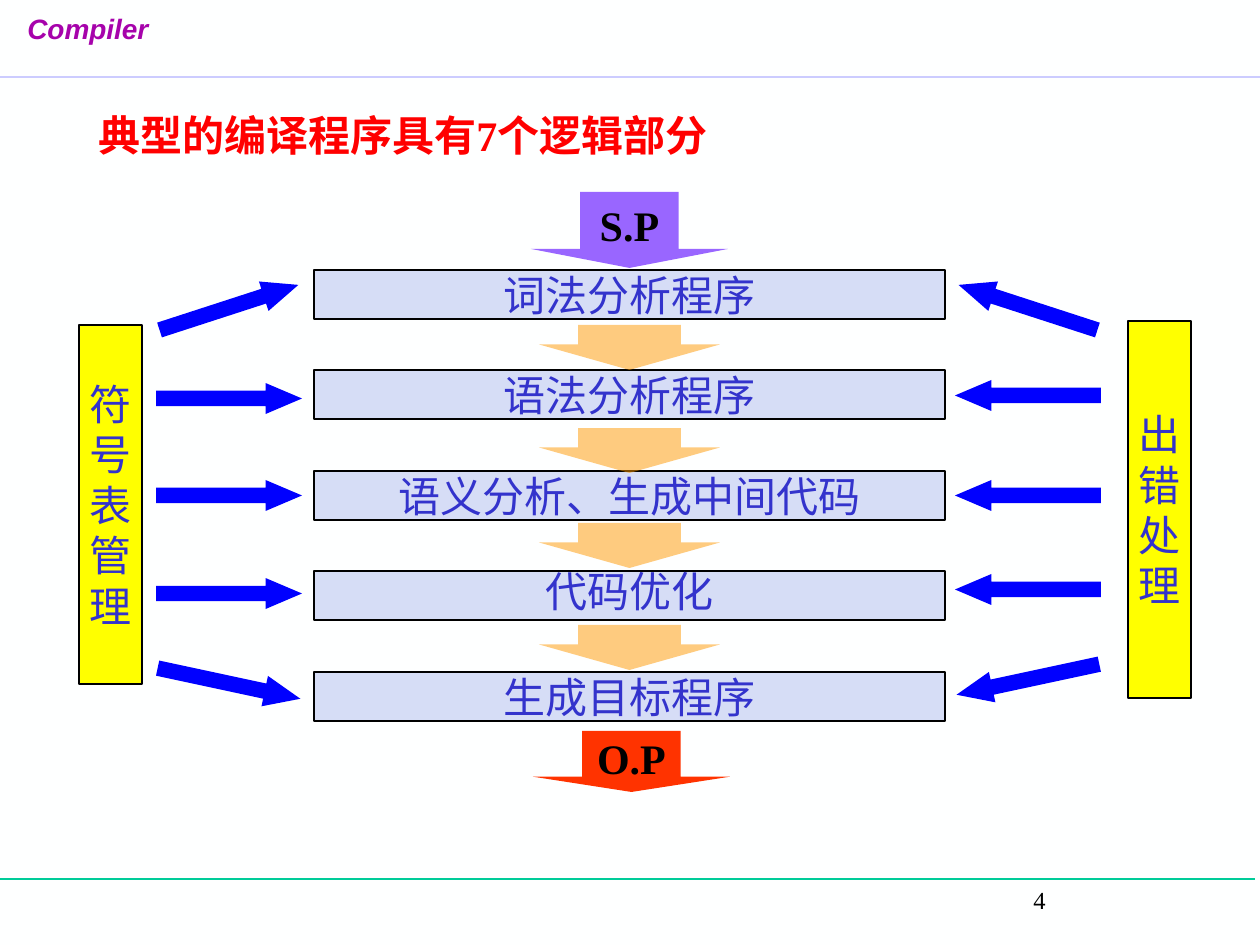
from dataclasses import dataclass

from lxml.etree import SubElement
from pptx import Presentation
from pptx.dml.color import RGBColor
from pptx.enum.shapes import MSO_CONNECTOR as Connector, MSO_SHAPE as Shape
from pptx.enum.text import MSO_ANCHOR as Anchor, PP_ALIGN as Align
from pptx.oxml.ns import qn
from pptx.util import Emu, Pt

PX = 914400 // 126  # EMU in one px


@dataclass(frozen=True)
class Theme:
    background: str = "FEFFFF"
    header_line: str = "CCCCFF"
    footer_line: str = "00CC99"
    brand: str = "A603AB"
    title: str = "FF0000"
    black: str = "000000"
    label: str = "3333CC"
    stage: str = "D6DDF6"
    flow: str = "FF9900"
    side: str = "FFFF00"
    link: str = "0000FF"
    source: str = "9966FF"
    target: str = "FF3300"
    sans: str = "Arial"
    serif: str = "Times New Roman"
    cjk: str = "Noto Sans CJK SC"
    body_size: int = 24
    header_size: int = 16
    number_size: int = 14


THEME = Theme()


def px(*values):
    return [Emu(value * PX) for value in values]


def color(code):
    return RGBColor.from_string(code)


def write(shape, lines, ink, font, size=THEME.body_size, bold=False,
          italic=False, align=Align.CENTER, anchor=Anchor.MIDDLE, wrap=False):
    """Put one paragraph per line into the shape."""
    frame = shape.text_frame
    frame.word_wrap = wrap
    frame.vertical_anchor = anchor
    for index, line in enumerate(lines):
        para = frame.add_paragraph() if index else frame.paragraphs[0]
        para.alignment = align
        span = para.add_run()
        span.text = line
        span.font.name = font
        span.font.size = Pt(size)
        span.font.bold = bold
        span.font.italic = italic
        span.font.color.rgb = color(ink)
        SubElement(span.font._element, qn("a:ea"), typeface=THEME.cjk)
    return frame


def add_text(page, area, text, ink, font, **style):
    box = page.shapes.add_textbox(*px(*area))
    return write(box, [text], ink, font, align=Align.LEFT, **style)


def add_rule(page, start, end, ink, width):
    rule = page.shapes.add_connector(Connector.STRAIGHT, *px(*start, *end))
    rule.line.color.rgb = color(ink)
    rule.line.width = Pt(width)
    SubElement(rule._element.spPr, qn("a:effectLst"))


def add_block(page, kind, area, fill, outlined=False):
    block = page.shapes.add_shape(kind, *px(*area))
    block.shadow.inherit = False
    block.fill.solid()
    block.fill.fore_color.rgb = color(fill)
    if outlined:
        block.line.color.rgb = color(THEME.black)
        block.line.width = Pt(1)
    else:
        block.line.fill.background()
    return block


def add_arrow(page, kind, area, fill, shaft, head, turn=0, alpha=None):
    arrow = add_block(page, kind, area, fill)
    arrow.adjustments[0] = shaft
    arrow.adjustments[1] = head
    arrow.rotation = turn
    if alpha is not None:
        paint = arrow._element.spPr.find(".//" + qn("a:srgbClr"))
        SubElement(paint, qn("a:alpha"), val=str(alpha * 1000))
    return arrow


def add_box(page, area, fill, lines):
    box = add_block(page, Shape.RECTANGLE, area, fill, outlined=True)
    return write(box, lines, THEME.label, THEME.cjk)


def add_end(page, area, fill, text):
    """Program entering or leaving the chain of stages."""
    arrow = add_arrow(page, Shape.DOWN_ARROW, area, fill, 0.5, 0.25)
    write(arrow, [text], THEME.black, THEME.serif, bold=True)


def add_side(page, area, label, kind, left, tops, turns):
    """Side module with an arrow to each stage."""
    add_box(page, area, THEME.side, label)
    for top, turn in zip(tops, turns):
        add_arrow(page, kind, (left, top, 146, 31), THEME.link, 0.5, 1.175, turn)


def add_stages(page):
    names = ["词法分析程序", "语法分析程序", "语义分析、生成中间代码",
             "代码优化", "生成目标程序"]
    for index, name in enumerate(names):
        top = 270 + 201 * index // 2
        frame = add_box(page, (314, top, 631, 49), THEME.stage, [name])
        if name == "代码优化":
            frame.paragraphs[0].line_spacing = 0.8
    for top in (325, 428, 523, 625):
        add_arrow(page, Shape.DOWN_ARROW, (539, top, 181, 45), THEME.flow,
                  0.568, 0.567, alpha=50)


def main():
    deck = Presentation()
    deck.slide_width, deck.slide_height = px(1260, 945)
    page = deck.slides.add_slide(deck.slide_layouts[6])
    page.background.fill.solid()
    page.background.fill.fore_color.rgb = color(THEME.background)

    # Header and footer
    add_rule(page, (-5, 879), (1255, 879), THEME.footer_line, 0.75)
    add_rule(page, (0, 77), (1260, 77), THEME.header_line, 1)
    add_text(page, (15, 5, 146, 71), "Compiler", THEME.brand, THEME.sans,
             size=THEME.header_size, bold=True, italic=True, anchor=Anchor.TOP)
    number = add_text(page, (868, 879, 387, 63), "4", THEME.black, THEME.serif,
                      size=THEME.number_size, anchor=Anchor.TOP, wrap=True)
    number.paragraphs[0]._p.get_or_add_pPr().set("marL", str(153 * PX))

    # Title
    add_text(page, (86, 103, 654, 63), "典型的编译程序具有7个逻辑部分",
             THEME.title, THEME.serif, bold=True)

    # Chain of stages
    add_end(page, (531, 192, 197, 76), THEME.source, "S.P")
    add_end(page, (533, 731, 197, 61), THEME.target, "O.P")
    add_stages(page)

    # Side modules
    add_side(page, (79, 325, 63, 359), "符号表管理", Shape.RIGHT_ARROW, 156,
             (292, 383, 480, 578, 668), (-18, 0, 0, 0, 12.1))
    add_side(page, (1128, 321, 63, 377), "出错处理", Shape.LEFT_ARROW, 955,
             (292, 380, 480, 574, 664), (18, 0, 0, 0, -12.1))

    deck.save("out.pptx")


if __name__ == "__main__":
    main()
